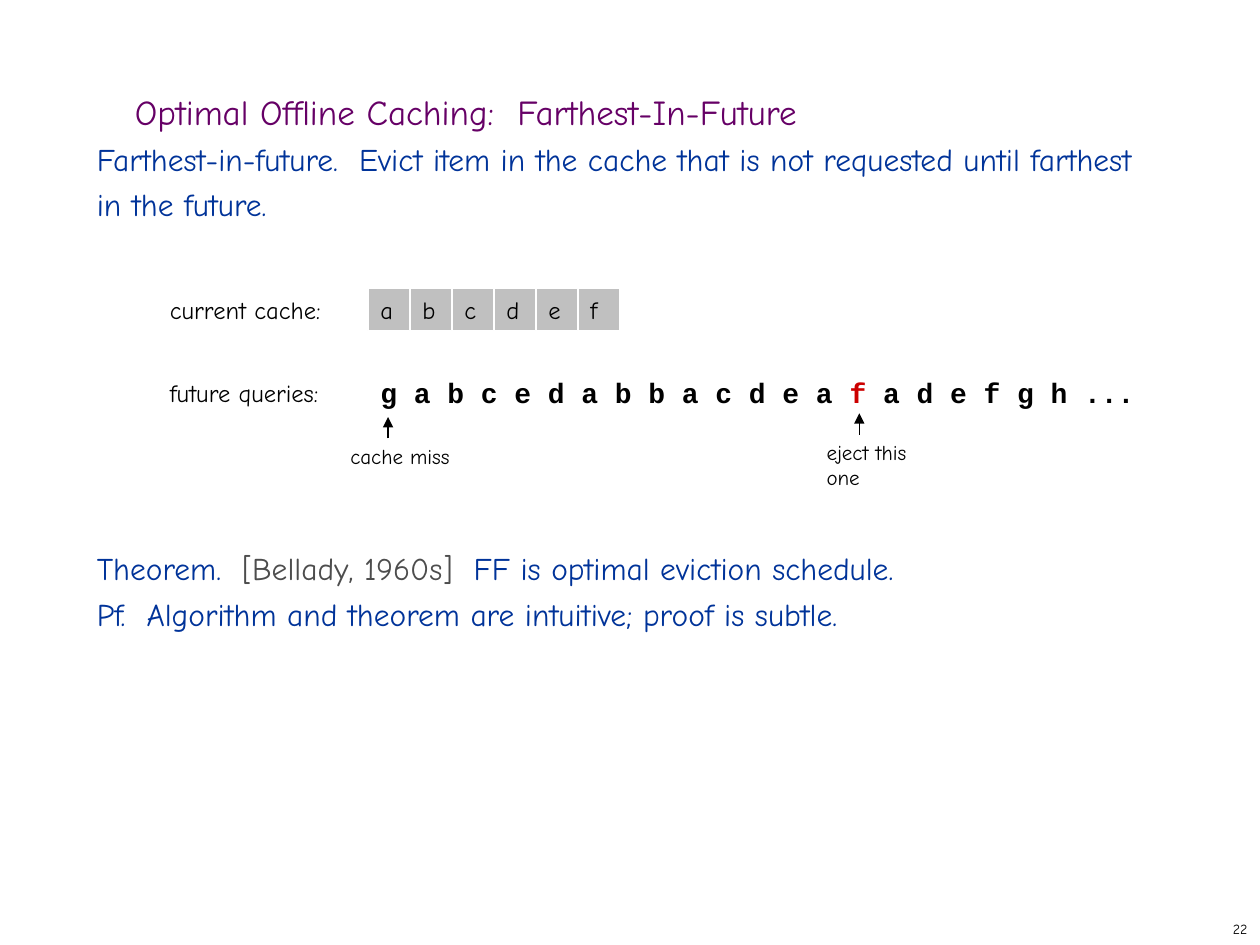
from lxml import etree
from pptx import Presentation
from pptx.dml.color import RGBColor
from pptx.enum.shapes import MSO_CONNECTOR, MSO_SHAPE
from pptx.enum.text import MSO_ANCHOR, PP_ALIGN
from pptx.oxml.ns import qn
from pptx.util import Inches, Pt

RECTANGLE = MSO_SHAPE.RECTANGLE
STRAIGHT = MSO_CONNECTOR.STRAIGHT
TOP, MIDDLE = MSO_ANCHOR.TOP, MSO_ANCHOR.MIDDLE
LEFT, CENTER, RIGHT = PP_ALIGN.LEFT, PP_ALIGN.CENTER, PP_ALIGN.RIGHT

COLORS = {
    name: RGBColor.from_string(value)
    for name, value in {
        "title": "660066",
        "body": "003399",
        "citation": "4D4D4D",
        "ejected": "CC0000",
        "cell": "C0C0C0",
        "black": "000000",
        "white": "FFFFFF",
        "off_white": "FEFEFE",
    }.items()
}
HAND_FONT, CODE_FONT = "Comic Neue", "Courier New"

prs = Presentation()
prs.slide_width, prs.slide_height = Inches(10), Inches(7.5)
slide = prs.slides.add_slide(prs.slide_layouts[6])

# Background
background = slide.background.fill
background.gradient()
background.gradient_angle = 270
for stop, shade in zip(background.gradient_stops, ("white", "off_white")):
    stop.color.rgb = COLORS[shade]


def write(shape, paragraphs, size, font=HAND_FONT, align=LEFT, anchor=MIDDLE,
          wrap=False, bold=False, margins=(0.1, 0.05)):
    """Fill a shape with paragraphs, each a list of (text, color name) runs."""
    frame = shape.text_frame
    frame.word_wrap = wrap
    frame.vertical_anchor = anchor
    frame.margin_left = frame.margin_right = Inches(margins[0])
    frame.margin_top = frame.margin_bottom = Inches(margins[1])
    for i, runs in enumerate(paragraphs):
        paragraph = frame.add_paragraph() if i else frame.paragraphs[0]
        paragraph.alignment = align
        for text, color in runs:
            run = paragraph.add_run()
            run.text = text
            run.font.name, run.font.size = font, Pt(size)
            run.font.bold = bold
            run.font.color.rgb = COLORS[color]
    return frame.paragraphs


def add_box(left, top, width, fill=None):
    """Add a white-edged rectangle of the common row height."""
    box = slide.shapes.add_shape(
        RECTANGLE, Inches(left), Inches(top), Inches(width), Inches(CELL))
    box.shadow.inherit = False
    if fill:
        box.fill.solid()
        box.fill.fore_color.rgb = COLORS[fill]
    else:
        box.fill.background()
    box.line.color.rgb = COLORS["white"]
    box.line.width = Pt(0.75)
    return box


# Title
title = slide.shapes.add_textbox(Inches(-1.3), Inches(0.68), Inches(10), Inches(0.5))
heading = write(title, [[("Optimal Offline Caching:  Farthest-In-Future", "title")]],
                20, align=CENTER, wrap=True)
heading[0].line_spacing = 0.7

# Definition, theorem and proof, with room for the example in between
body = slide.shapes.add_textbox(Inches(0.67), Inches(1), Inches(8.58), Inches(5.92))
statements = write(body, [
    [("Farthest-in-future.  Evict item in the cache that is not requested "
      "until farthest in the future.", "body")],
    [("Theorem.  ", "body"), ("[Bellady, 1960s]", "citation"),
     ("  FF is optimal eviction schedule.", "body")],
    [("Pf.  Algorithm and theorem are intuitive; proof is subtle.", "body")],
], 18, anchor=TOP, wrap=True)
LINE_PITCH = 26
for statement in statements:
    statement.line_spacing = Pt(LINE_PITCH)
statements[1].space_before = Pt(7 * LINE_PITCH)

# Row labels
CELL = 1 / 3
ROW_LEFT, CACHE_TOP, QUERIES_TOP = 2.92, 2.29, 2.95
for label, top in (("current cache:", CACHE_TOP), ("future queries:", QUERIES_TOP)):
    write(add_box(1.25, top, 1.42), [[(label, "black")]], 14)

# Current cache
for i, item in enumerate("abcdef"):
    cache_cell = add_box(ROW_LEFT + i * CELL, CACHE_TOP, CELL, "cell")
    write(cache_cell, [[(item, "black")]], 14)

# Future queries
queries = add_box(ROW_LEFT, QUERIES_TOP, 6.58)
write(queries, [[("g a b c e d a b b a c d e a ", "black"), ("f", "ejected"),
                 (" a d e f g h ...", "black")]], 16, font=CODE_FONT, bold=True)

# Notes with arrows pointing up at the queries
for note, left, top, width, arrow_x in (
    ("cache miss", 2.78, 3.52, 0.79, 3.08),
    ("eject this one", 6.56, 3.49, 0.95, 6.82),
):
    caption = slide.shapes.add_textbox(
        Inches(left), Inches(top), Inches(width), Inches(0.2))
    write(caption, [[(note, "black")]], 12, anchor=TOP, margins=(0, 0))

    arrow = slide.shapes.add_connector(
        STRAIGHT, Inches(arrow_x), Inches(top - 0.04),
        Inches(arrow_x), Inches(top - 0.21))
    arrow.line.color.rgb = COLORS["black"]
    arrow.line.width = Pt(0.75)
    etree.SubElement(arrow.line._get_or_add_ln(), qn("a:tailEnd"), type="triangle")
    etree.SubElement(arrow._element.spPr, qn("a:effectLst"))

# Slide number
number = slide.shapes.add_textbox(Inches(7.92), Inches(7.25), Inches(2.08), Inches(0.25))
write(number, [[("22", "black")]], 8, align=RIGHT, wrap=True)

prs.save("out.pptx")
